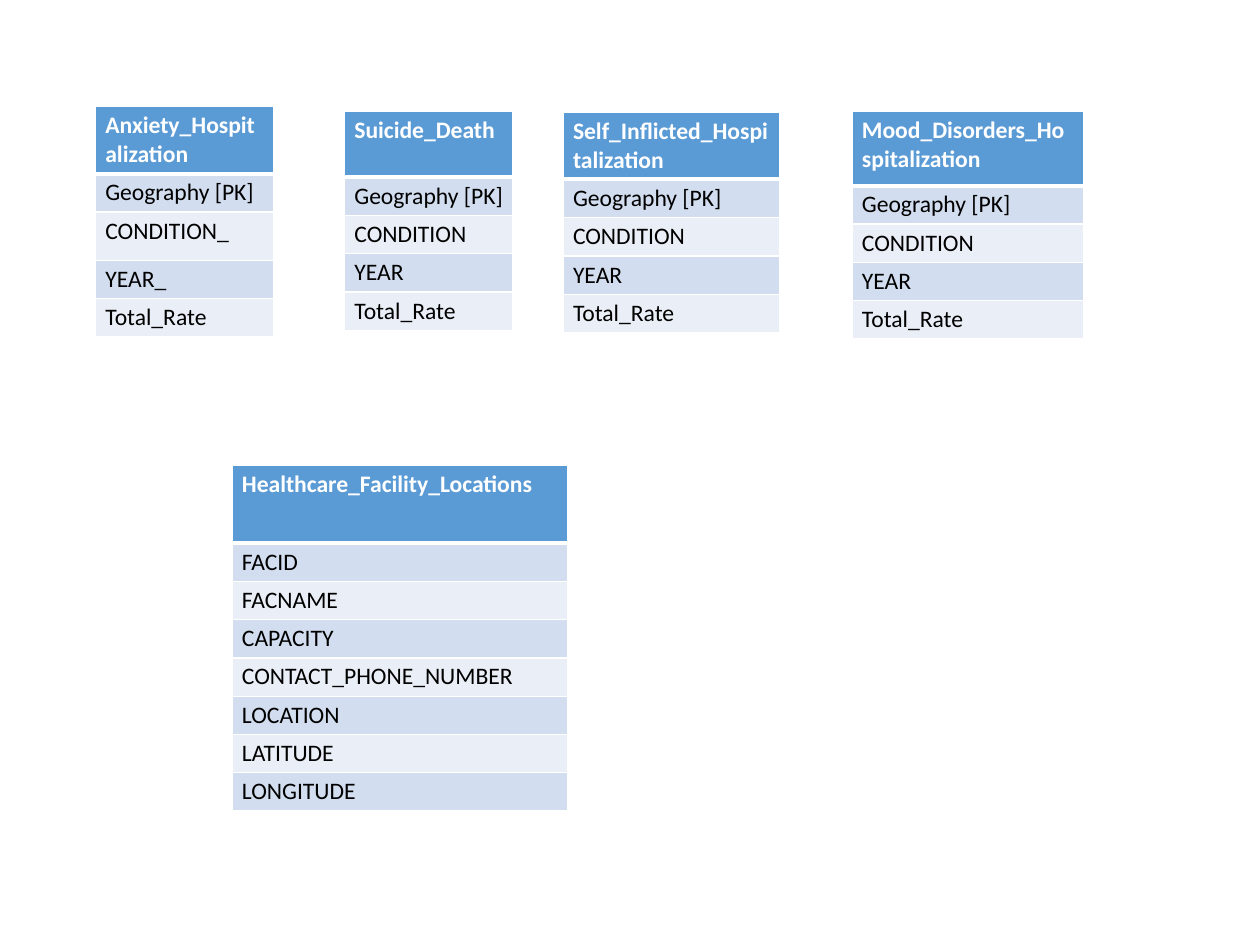
from dataclasses import dataclass

from lxml import etree
from pptx import Presentation
from pptx import util as u
from pptx.dml.color import RGBColor
from pptx.oxml import ns


@dataclass(frozen=True)
class Theme:
    font: str = "Calibri"
    text_size: float = 16
    header_fill: str = "5B9BD5"
    header_text: str = "FFFFFF"
    band_fills: tuple[str, str] = ("D2DEEF", "EAEFF7")
    body_text: str = "000000"
    border: str = "FFFFFF"
    thin_border: float = 1
    header_border: float = 3
    row_height: float = 25.92


@dataclass(frozen=True)
class Entity:
    name: str
    fields: tuple[str, ...]
    left: float
    top: float
    width: float
    header_height: float
    tall_field: str = ""
    tall_height: float = 0


THEME = Theme()
RATE_FIELDS = ("Geography [PK]", "CONDITION", "YEAR", "Total_Rate")

ENTITIES = (
    Entity("Anxiety_Hospitalization",
           ("Geography [PK]", "CONDITION_", "YEAR_", "Total_Rate"),
           64.8, 72.2, 120.2, 44.64, "CONDITION_", 32.6),
    Entity("Suicide_Death", RATE_FIELDS, 233.3, 75.2, 113.8, 44.64),
    Entity("Self_Inflicted_Hospitalization", RATE_FIELDS,
           381.2, 76, 146.6, 44.64),
    Entity("Mood_Disorders_Hospitalization", RATE_FIELDS,
           576.7, 75.2, 156.2, 50.4),
    Entity("Healthcare_Facility_Locations",
           ("FACID", "FACNAME", "CAPACITY", "CONTACT_PHONE_NUMBER",
            "LOCATION", "LATITUDE", "LONGITUDE"),
           157.2, 314.8, 226.6, 52.6),
)


def set_borders(cell, top: float, bottom: float) -> None:
    properties = cell._tc.get_or_add_tcPr()
    widths = {"lnL": THEME.thin_border, "lnR": THEME.thin_border,
              "lnT": top, "lnB": bottom}
    for side, width in widths.items():
        line = etree.SubElement(properties, ns.qn(f"a:{side}"),
                                w=str(u.Pt(width)))
        fill = etree.SubElement(line, ns.qn("a:solidFill"))
        etree.SubElement(fill, ns.qn("a:srgbClr"), val=THEME.border)


def fill_cell(cell, label: str, row: int) -> None:
    is_header = row == 0
    # Borders: the heavy line lies between the header and the first field
    set_borders(cell,
                THEME.header_border if row == 1 else THEME.thin_border,
                THEME.header_border if is_header else THEME.thin_border)
    fill = THEME.header_fill if is_header else THEME.band_fills[(row - 1) % 2]
    cell.fill.solid()
    cell.fill.fore_color.rgb = RGBColor.from_string(fill)
    margins = {"margin_left": 6.5, "margin_right": 6.5,
               "margin_top": 3.1, "margin_bottom": 3.1}
    for name, value in margins.items():
        setattr(cell, name, u.Pt(value))

    # Label
    run = cell.text_frame.paragraphs[0].add_run()
    run.text = label
    font_format = {"name": THEME.font, "size": u.Pt(THEME.text_size),
                   "bold": is_header}
    for name, value in font_format.items():
        setattr(run.font, name, value)
    color = THEME.header_text if is_header else THEME.body_text
    run.font.color.rgb = RGBColor.from_string(color)


def draw_entity(slide, entity: Entity) -> None:
    heights = [entity.header_height] + [
        entity.tall_height if field == entity.tall_field else THEME.row_height
        for field in entity.fields]
    frame = slide.shapes.add_table(
        len(heights), 1, u.Pt(entity.left), u.Pt(entity.top),
        u.Pt(entity.width), u.Pt(sum(heights)))
    table = frame.table
    for row, label in enumerate((entity.name, *entity.fields)):
        table.rows[row].height = u.Pt(heights[row])
        fill_cell(table.cell(row, 0), label, row)


# Slide
presentation = Presentation()
presentation.slide_width = u.Pt(852.48)
presentation.slide_height = u.Pt(639.36)
slide = presentation.slides.add_slide(presentation.slide_layouts[6])

# Entity tables
for entity in ENTITIES:
    draw_entity(slide, entity)

presentation.save("out.pptx")
